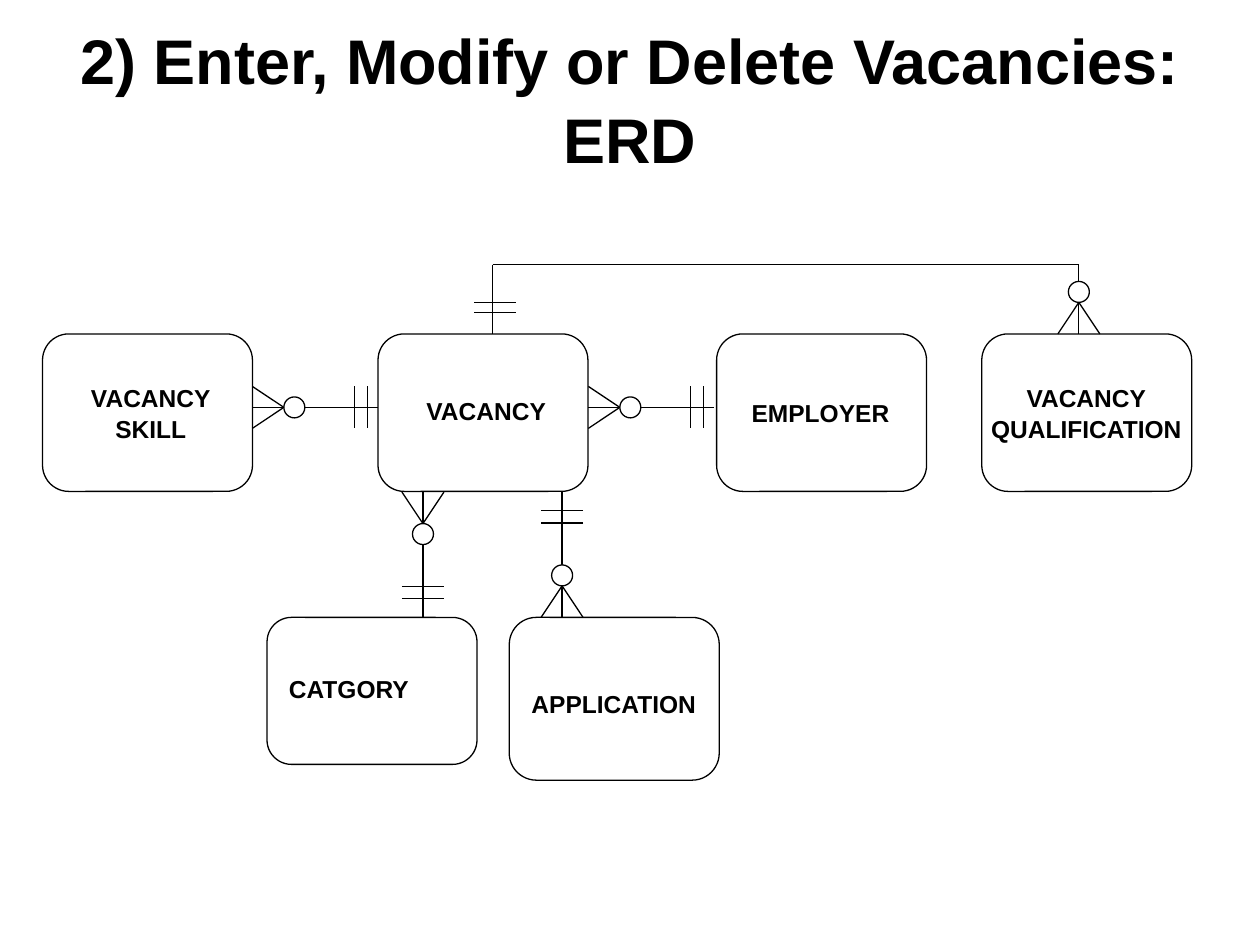
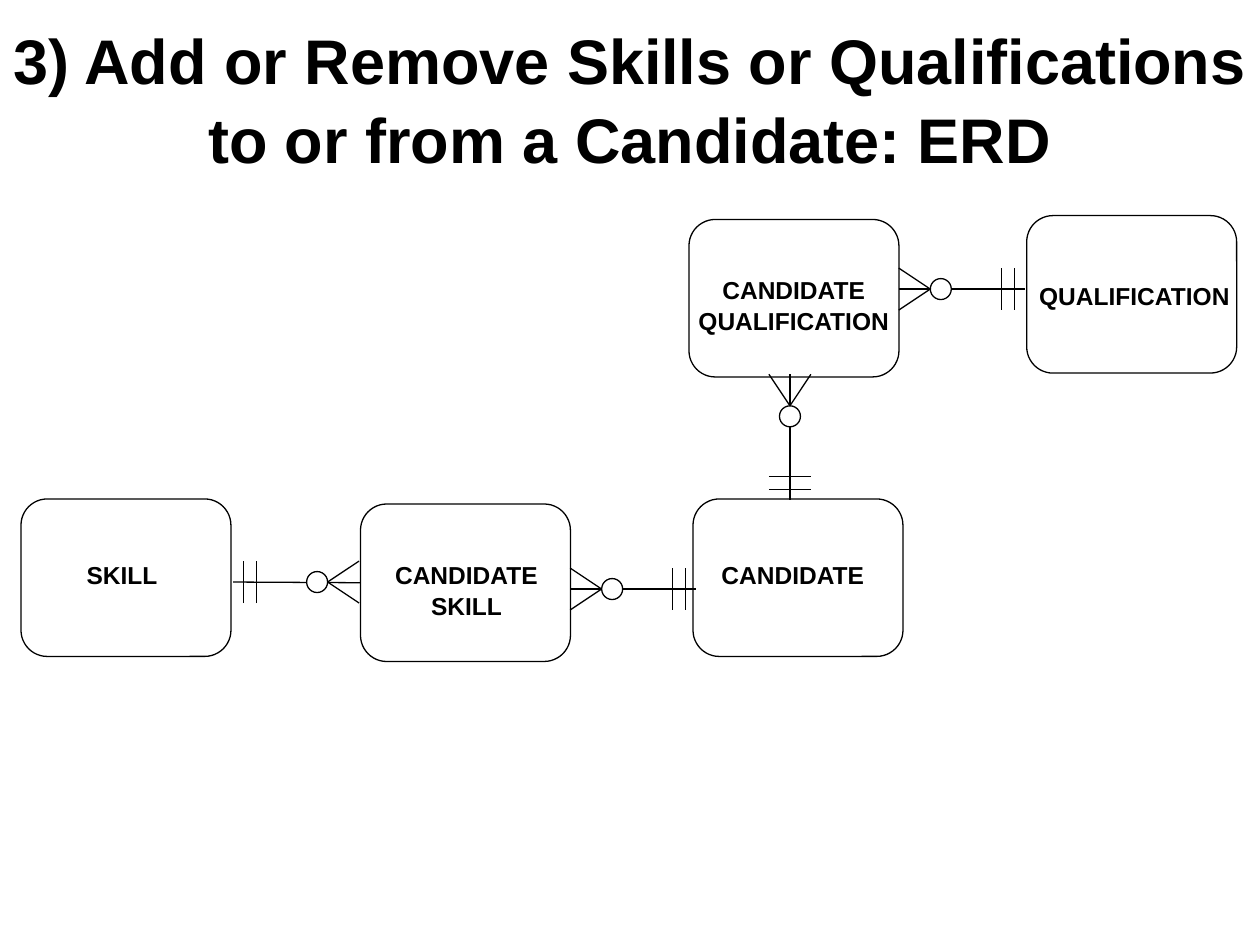
from lxml import etree
from pptx import Presentation
from pptx.dml.color import RGBColor
from pptx.enum import shapes, text
from pptx.oxml.ns import qn
from pptx.util import Pt

COLOURS = {"ink": "000000", "paper": "FFFFFF"}
FONT = "Arial"
LINE_SPACING = 1.05
BOX_WIDTH, BOX_HEIGHT = 120, 90
LABEL_WIDTH, LABEL_LINE = 124, 17
FOOT_LENGTH, HALF_WIDTH, RING_SIZE = 18, 12, 12
STEM_LENGTH = 72
LEFT, RIGHT, UP, DOWN = (-1, 0), (1, 0), (0, -1), (0, 1)


def colour(name):
    return RGBColor.from_string(COLOURS[name])


# Text
def write(para, words, size):
    para.alignment = text.PP_ALIGN.CENTER
    para.line_spacing = LINE_SPACING
    span = para.add_run()
    span.text = words
    span.font.name = FONT
    span.font.size = Pt(size)
    span.font.bold = True
    span.font.color.rgb = colour("ink")


def set_frame(frame, wrap, side_margin):
    frame.word_wrap = wrap
    frame.auto_size = text.MSO_AUTO_SIZE.NONE
    frame.vertical_anchor = text.MSO_ANCHOR.TOP
    frame.margin_left = frame.margin_right = Pt(side_margin)
    frame.margin_top = frame.margin_bottom = Pt(3.6)


def add_page(deck, heading):
    page = deck.slides.add_slide(deck.slide_layouts[5])
    title = page.shapes.title
    title.left, title.top = Pt(0), Pt(6.5)
    title.width, title.height = Pt(720), Pt(94)
    set_frame(title.text_frame, True, 3.6)
    write(title.text_frame.paragraphs[0], heading, 36)
    return page


def add_label(page, centre, top, lines):
    box = page.shapes.add_textbox(Pt(centre - LABEL_WIDTH / 2), Pt(top),
                                  Pt(LABEL_WIDTH), Pt(7.2 + LABEL_LINE * len(lines)))
    frame = box.text_frame
    set_frame(frame, False, 7.2)
    for number, words in enumerate(lines):
        para = frame.add_paragraph() if number else frame.paragraphs[0]
        write(para, words, 14)


# Outlines
def add_outline(page, kind, left, top, width, height):
    shape = page.shapes.add_shape(kind, Pt(left), Pt(top), Pt(width), Pt(height))
    shape.shadow.inherit = False
    shape.fill.solid()
    shape.fill.fore_color.rgb = colour("paper")
    shape.line.color.rgb = colour("ink")
    shape.line.width = Pt(0.75)
    return shape


def add_line(page, start, end):
    line = page.shapes.add_connector(shapes.MSO_CONNECTOR.STRAIGHT,
                                     *map(Pt, (*start, *end)))
    line.line.color.rgb = colour("ink")
    line.line.width = Pt(0.75)
    etree.SubElement(line._element.spPr, qn("a:effectLst"))
    return line


# Diagram parts
def add_entity(page, left, top, lines, label_centre, label_top, height=BOX_HEIGHT):
    box = add_outline(page, shapes.MSO_SHAPE.FLOWCHART_ALTERNATE_PROCESS,
                      left, top, BOX_WIDTH, height)
    add_label(page, label_centre, label_top, lines)
    return box


def add_relation(page, many_end, direction, ticks=(58.5, 66), length=STEM_LENGTH):
    """Draw a crow's foot at many_end, then a ring, a stem and cross ticks."""
    (x, y), (dx, dy) = many_end, direction

    def spot(along, across=0):
        return x + dx * along + dy * across, y + dy * along + dx * across

    stem = add_line(page, spot(0), spot(length))
    for side in (-HALF_WIDTH, HALF_WIDTH):
        add_line(page, spot(FOOT_LENGTH), spot(0, side))
    for tick in ticks:
        add_line(page, spot(tick, -HALF_WIDTH), spot(tick, HALF_WIDTH))
    ring_x, ring_y = spot(FOOT_LENGTH + RING_SIZE / 2)
    add_outline(page, shapes.MSO_SHAPE.OVAL, ring_x - RING_SIZE / 2,
                ring_y - RING_SIZE / 2, RING_SIZE, RING_SIZE)
    return stem


def build_vacancies(deck):
    page = add_page(deck, "2) Enter, Modify or Delete Vacancies: ERD")
    row, lower_row = 190.8, 352.8
    add_entity(page, 24.3, row, ["VACANCY", "SKILL"], 86.2, 214.6)
    add_entity(page, 216, row, ["VACANCY"], 277.9, 221.8)
    add_entity(page, 409.5, row, ["EMPLOYER"], 468.9, 223.2)
    add_entity(page, 561, row, ["VACANCY", "QUALIFICATION"], 620.8, 214.6)
    add_entity(page, 152.6, lower_row, ["CATGORY"], 199.4, 380.9, 84)
    add_entity(page, 291, lower_row, ["APPLICATION"], 350.8, 389.5, 93)

    for many_x in (144.2, 336.2):
        add_relation(page, (many_x, 232.8), RIGHT)
    add_relation(page, (241.7, 281.2), DOWN, (54, 61))
    add_relation(page, (321.2, lower_row), UP, (54, 61))

    # Route from the vacancy over the employer to its qualifications
    rail, vacancy_x, qualification_x = 151.2, 281.5, 616.5
    add_relation(page, (qualification_x, row), UP, (), row - rail)
    add_line(page, (vacancy_x, rail), (qualification_x, rail))
    add_line(page, (vacancy_x, rail), (vacancy_x, row))
    for tick_y in (172.7, 178.5):
        add_line(page, (271, tick_y), (295, tick_y))


def build_candidates(deck):
    page = add_page(deck, "3) Add or Remove Skills or Qualifications "
                          "to or from a Candidate: ERD")
    add_entity(page, 12, 285.1, ["SKILL"], 69.8, 315.4)
    candidate_skill = add_entity(page, 206, 288, ["CANDIDATE", "SKILL"], 266.6, 315.6)
    add_entity(page, 396, 285.1, ["CANDIDATE"], 453.1, 315.4)
    add_entity(page, 393.7, 125.4, ["CANDIDATE", "QUALIFICATION"], 453.6, 152.8)
    add_entity(page, 586.7, 123.2, ["QUALIFICATION"], 648.3, 156.4)

    skill_stem = add_relation(page, (205.2, 332.6), LEFT)
    skill_stem.begin_connect(candidate_skill, 1)
    add_relation(page, (325.8, 336.6), RIGHT)
    add_relation(page, (451.4, 213.9), DOWN)
    add_relation(page, (513.6, 165.2), RIGHT)


def main():
    deck = Presentation()
    deck.slide_width, deck.slide_height = Pt(720), Pt(540)
    build_vacancies(deck)
    build_candidates(deck)
    deck.save("out.pptx")


if __name__ == "__main__":
    main()
